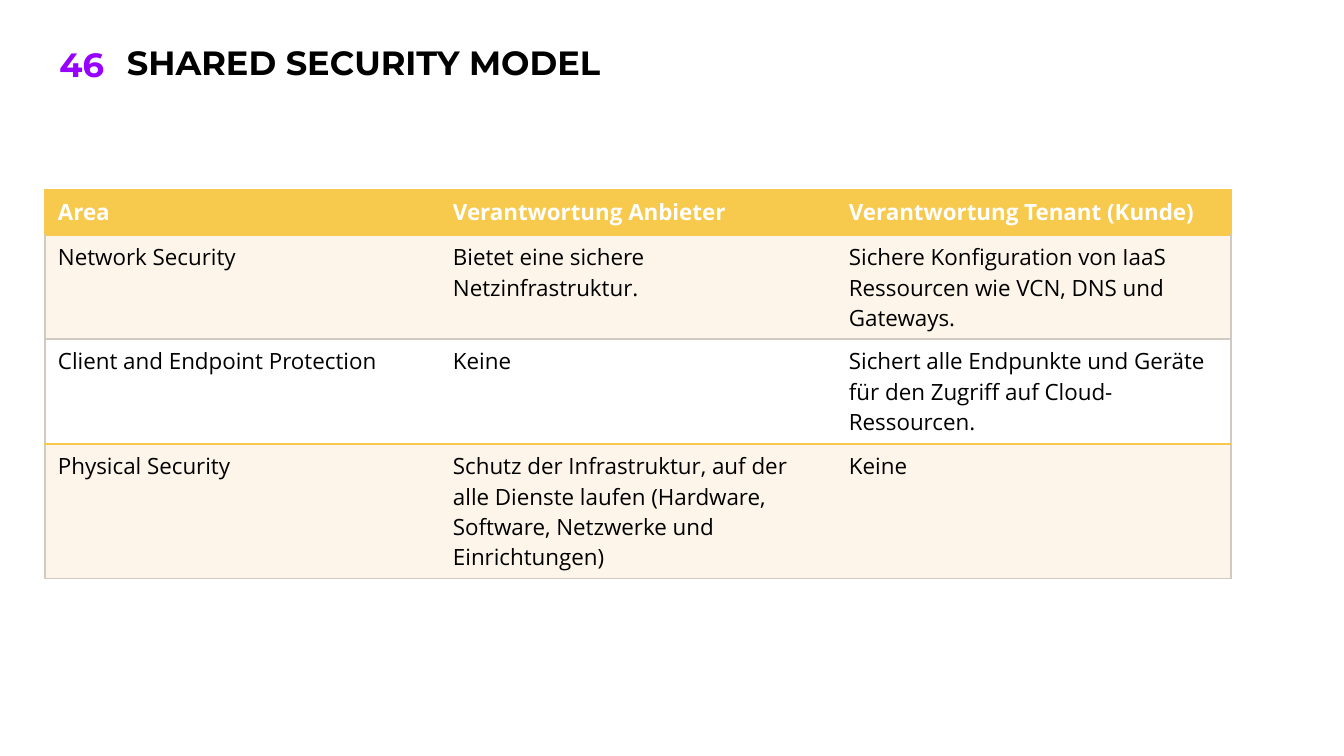
"""Build the shared security model slide with its table of duties."""
from lxml.etree import SubElement
from pptx import Presentation
from pptx.dml.color import RGBColor
from pptx.enum.text import MSO_ANCHOR, PP_ALIGN
from pptx.oxml import parse_xml
from pptx.oxml.ns import nsdecls, qn
from pptx.util import Pt

THEME = {
    "head": "Montserrat", "body": "Open Sans",
    "head_pt": Pt(24), "body_pt": Pt(16),
    "purple": "9601FF", "black": "000000", "white": "FFFFFF",
    "gold": "F7C94D", "cream": "FDF5E9", "gray": "CFCBC2",
}
SCALE = 914400 / 100.8


def px(count):
    return round(count * SCALE)


def style(para, font, size, color, bold):
    form = {"name": THEME[font], "size": THEME[size], "bold": bold}
    for key, value in form.items():
        setattr(para.font, key, value)
    para.font.color.rgb = RGBColor.from_string(THEME[color])


deck = Presentation()
deck.slide_width, deck.slide_height = px(1344), px(756)
slide = deck.slides.add_slide(deck.slide_layouts[6])

heads = [
    ("46", (26, 42, 88, 49), "purple", PP_ALIGN.RIGHT, MSO_ANCHOR.MIDDLE, 10),
    ("SHARED SECURITY MODEL", (115, 42, 1183, 48), "black", PP_ALIGN.LEFT,
     MSO_ANCHOR.TOP, 12),
]
for text, place, color, align, anchor, inset in heads:
    frame = slide.shapes.add_textbox(*map(px, place)).text_frame
    form = {"word_wrap": True, "vertical_anchor": anchor,
            "margin_left": px(inset), "margin_right": px(inset),
            "margin_top": px(5), "margin_bottom": px(5)}
    for key, value in form.items():
        setattr(frame, key, value)
    para = frame.paragraphs[0]
    para.text, para.alignment, para.line_spacing = text, align, 0.9
    style(para, "head", "head_pt", color, True)

ROWS = [
    ("Area", "Verantwortung Anbieter", "Verantwortung Tenant (Kunde)"),
    ("Network Security", "Bietet eine sichere Netzinfrastruktur.",
     "Sichere Konfiguration von IaaS Ressourcen wie VCN, DNS und Gateways."),
    ("Client and Endpoint Protection", "Keine",
     "Sichert alle Endpunkte und Geräte für den Zugriff auf Cloud-Ressourcen."),
    ("Physical Security",
     "Schutz der Infrastruktur, auf der alle Dienste laufen "
     "(Hardware, Software, Netzwerke und Einrichtungen)", "Keine"),
]
HEIGHTS = [45, 104, 105, 135]
WIDTHS = [395, 396, 395]
FILLS = ["gold", "cream", "white", "cream"]
EDGES = ["gold", "gold", "gray", "gold", "gray"]

grid = slide.shapes.add_table(len(ROWS), len(WIDTHS), px(45), px(190),
                              px(sum(WIDTHS)), px(sum(HEIGHTS))).table
for col, width in zip(grid.columns, WIDTHS):
    col.width = px(width)
for row, height in zip(grid.rows, HEIGHTS):
    row.height = px(height)

for r, texts in enumerate(ROWS):
    side = "gray" if r else "gold"
    for c, text in enumerate(texts):
        cell = grid.cell(r, c)
        cell.text = text
        form = {"margin_left": px(13), "margin_right": px(13),
                "margin_top": px(7), "margin_bottom": px(7)}
        for key, value in form.items():
            setattr(cell, key, value)
        style(cell.text_frame.paragraphs[0], "body", "body_pt",
              "black" if r else "white", r == 0)
        cell.fill.solid()
        cell.fill.fore_color.rgb = RGBColor.from_string(THEME[FILLS[r]])
        lines = {"lnL": side if c == 0 else None,
                 "lnR": side if c == len(WIDTHS) - 1 else None,
                 "lnT": EDGES[r], "lnB": EDGES[r + 1]}
        for spot, (tag, color) in enumerate(lines.items()):
            line = parse_xml(f'<a:{tag} {nsdecls("a")} w="{Pt(1)}"/>')
            if color:
                fill = SubElement(line, qn("a:solidFill"))
                SubElement(fill, qn("a:srgbClr"), val=THEME[color])
            else:
                SubElement(line, qn("a:noFill"))
            cell._tc.get_or_add_tcPr().insert(spot, line)

deck.save("out.pptx")
